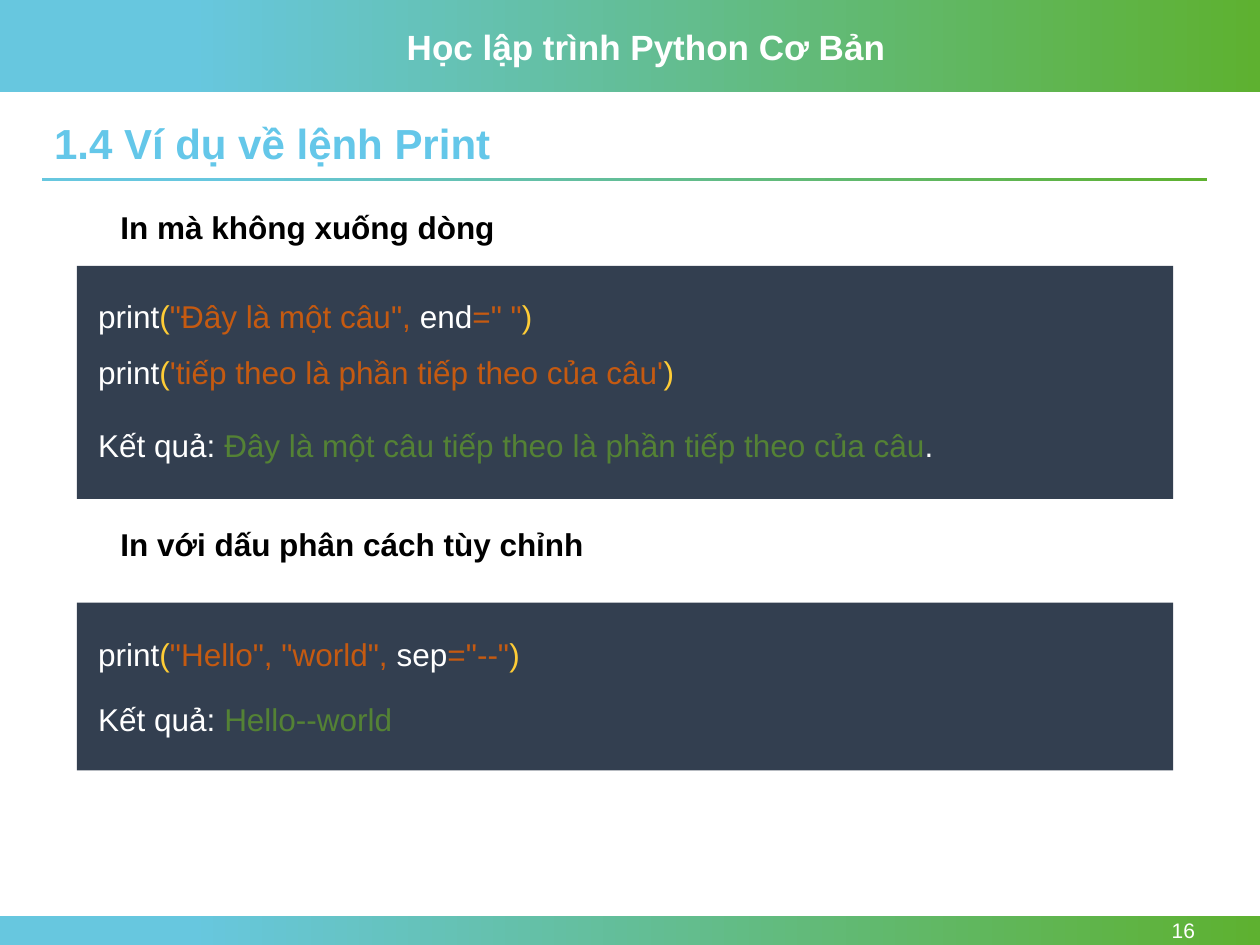
from pptx import Presentation
from pptx.dml.color import RGBColor
from pptx.enum.shapes import MSO_SHAPE as SHAPE
from pptx.enum.text import MSO_ANCHOR as ANCHOR, PP_ALIGN as ALIGN
from pptx.util import Cm, Pt

COLORS = {
    "blue": "67C7DF", "green": "5EB130", "title": "64C7E9",
    "panel": "333F50", "white": "FFFFFF", "black": "000000",
    "paren": "FECC36", "string": "C55A11", "result": "548235",
}
FONT = "Arial"
WIDTH, HEIGHT = 25.4, 19.05
MARGIN, RULE_W = 0.84, 23.5
PANEL_X, PANEL_W = 1.55, 22.1
CODE_X, HEADING_X = 1.73, 2.18
LINE_H = 1.02

HEADER = "Học lập trình Python Cơ Bản"
TITLE = "1.4 Ví dụ về lệnh Print"
PAGE = "16"
BANDS = [
    (0, 0, WIDTH, 1.85),
    (0, 18.47, WIDTH, 0.58),
    (MARGIN, 3.58, RULE_W, 0.07),
]
EXAMPLES = [
    {
        "heading": ("In mà không xuống dòng", 4.06),
        "panel": (5.36, 4.7),
        "lines": [
            (5.87, [("print", "white"), ("(", "paren"),
                    ('"Đây là một câu", ', "string"), ("end", "white"),
                    ('=" "', "string"), (")", "paren")]),
            (6.99, [("print", "white"), ("(", "paren"),
                    ("'tiếp theo là phần tiếp theo của câu'", "string"),
                    (")", "paren")]),
            (8.46, [("Kết quả: ", "white"),
                    ("Đây là một câu tiếp theo là phần tiếp theo của câu", "result"),
                    (".", "white")]),
        ],
    },
    {
        "heading": ("In với dấu phân cách tùy chỉnh", 10.46),
        "panel": (12.15, 3.38),
        "lines": [
            (12.67, [("print", "white"), ("(", "paren"),
                     ('"Hello", "world", ', "string"), ("sep", "white"),
                     ('="--"', "string"), (")", "paren")]),
            (13.98, [("Kết quả: ", "white"), ("Hello--world", "result")]),
        ],
    },
]


def rgb(name):
    return RGBColor.from_string(COLORS[name])


def add_rect(slide, x, y, w, h):
    sp = slide.shapes.add_shape(SHAPE.RECTANGLE, Cm(x), Cm(y), Cm(w), Cm(h))
    sp.shadow.inherit = False
    sp.line.fill.background()
    return sp


def add_band(slide, x, y, w, h):
    fill = add_rect(slide, x, y, w, h).fill
    fill.gradient()
    fill.gradient_angle = 0
    stops = ((0.15, "blue"), (1, "green"))
    for stop, (position, color) in zip(fill.gradient_stops, stops):
        stop.position = position
        stop.color.rgb = rgb(color)


def add_text(slide, x, y, w, h, runs, size=18, bold=False):
    tf = slide.shapes.add_textbox(Cm(x), Cm(y), Cm(w), Cm(h)).text_frame
    tf.word_wrap = True
    p = tf.paragraphs[0]
    for text, color in runs:
        r = p.add_run()
        r.text = text
        r.font.name = FONT
        r.font.size = Pt(size)
        r.font.bold = bold
        r.font.color.rgb = rgb(color)
    return tf


def add_example(slide, example):
    heading, y = example["heading"]
    add_text(slide, HEADING_X, y, 12, LINE_H, [(heading, "black")], bold=True)
    top, height = example["panel"]
    fill = add_rect(slide, PANEL_X, top, PANEL_W, height).fill
    fill.solid()
    fill.fore_color.rgb = rgb("panel")
    for y, runs in example["lines"]:
        add_text(slide, CODE_X, y, 19.6, LINE_H, runs)


def main():
    prs = Presentation()
    prs.slide_width, prs.slide_height = Cm(WIDTH), Cm(HEIGHT)
    slide = prs.slides.add_slide(prs.slide_layouts[6])

    for band in BANDS:
        add_band(slide, *band)
    add_text(slide, 7.95, 0.38, 10.2, 1.12, [(HEADER, "white")], 20, True)

    tf = add_text(slide, 22, 18.47, 2.34, 0.58, [(PAGE, "white")], 12)
    tf.vertical_anchor = ANCHOR.MIDDLE
    tf.paragraphs[0].alignment = ALIGN.RIGHT

    tf = add_text(slide, MARGIN, 2.36, RULE_W, 1.17, [(TITLE, "title")], 24, True)
    tf.paragraphs[0].line_spacing = 0.9
    tf.paragraphs[0].space_before = Pt(10)

    for example in EXAMPLES:
        add_example(slide, example)

    prs.save("out.pptx")


if __name__ == "__main__":
    main()
